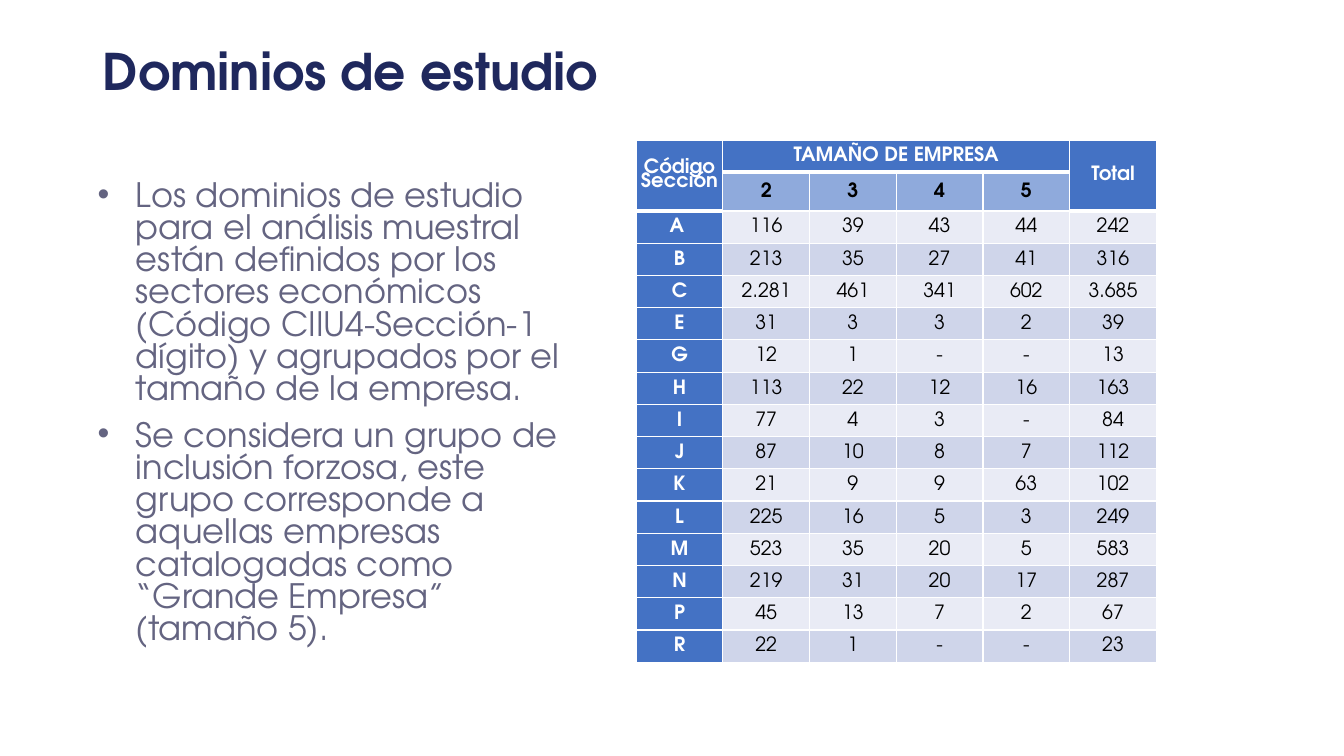
from dataclasses import dataclass

import lxml.etree
import pptx
import pptx.dml.color
import pptx.enum.text
import pptx.oxml.ns
import pptx.util
from pptx.util import Inches


@dataclass(frozen=True)
class Theme:
    font: str = "TeX Gyre Adventor"
    title: str = "1F285D"
    body: str = "646481"
    header: str = "4472C4"
    size_header: str = "8FAADC"
    bands: tuple[str, str] = ("E9EBF5", "CFD5EA")
    white: str = "FFFFFF"
    black: str = "000000"
    title_pt: int = 36
    body_pt: int = 24
    table_pt: int = 14


@dataclass(frozen=True)
class CellStyle:
    fill: str
    color: str
    bold: bool = False
    bottom_pt: int = 1


@dataclass(frozen=True)
class Section:
    code: str
    values: str


THEME = Theme()
HEADER = CellStyle(THEME.header, THEME.white, True, 3)
SIZE_HEADER = CellStyle(THEME.size_header, THEME.black, True)
CODE = CellStyle(THEME.header, THEME.white, True)
BANDS = [CellStyle(fill, THEME.black) for fill in THEME.bands]

BULLETS = [
    "Los dominios de estudio para el análisis muestral están definidos por los "
    "sectores económicos (Código CIIU4-Sección-1 dígito) y agrupados por el "
    "tamaño de la empresa.",
    "Se considera un grupo de inclusión forzosa, este grupo corresponde a "
    "aquellas empresas catalogadas como “Grande Empresa” (tamaño 5).",
]
SIZES = ["2", "3", "4", "5"]
SECTIONS = [
    Section("A ", "116 39 43 44 242"),
    Section("B", "213 35 27 41 316"),
    Section("C", "2.281 461 341 602 3.685"),
    Section("E", "31 3 3 2 39"),
    Section("G", "12 1 - - 13"),
    Section("H", "113 22 12 16 163"),
    Section("I", "77 4 3 - 84"),
    Section("J", "87 10 8 7 112"),
    Section("K", "21 9 9 63 102"),
    Section("L", "225 16 5 3 249"),
    Section("M", "523 35 20 5 583"),
    Section("N", "219 31 20 17 287"),
    Section("P", "45 13 7 2 67"),
    Section("R", "22 1 - - 23"),
]


def add_run(p, text: str, size: int, color: str, bold: bool = False) -> None:
    r = p.add_run()
    r.text = text
    r.font.name = THEME.font
    r.font.size = pptx.util.Pt(size)
    r.font.bold = bold
    r.font.color.rgb = pptx.dml.color.RGBColor.from_string(color)


def add_title(slide, text: str) -> None:
    sp = slide.shapes.title
    sp.left, sp.top, sp.width, sp.height = map(Inches, (0.92, 0.37, 8.46, 0.74))
    tf = sp.text_frame
    tf.auto_size = pptx.enum.text.MSO_AUTO_SIZE.NONE
    tf.vertical_anchor = pptx.enum.text.MSO_ANCHOR.MIDDLE
    p = tf.paragraphs[0]
    p.alignment = pptx.enum.text.PP_ALIGN.LEFT
    p.line_spacing = 0.9
    add_run(p, text, THEME.title_pt, THEME.title, True)


def add_bullets(slide, texts: list[str]) -> None:
    sp = slide.shapes.add_textbox(*map(Inches, (0.87, 1.75, 4.9, 4.75)))
    tf = sp.text_frame
    tf.word_wrap = True
    for i, text in enumerate(texts):
        p = tf.add_paragraph() if i else tf.paragraphs[0]
        p.line_spacing = 0.8
        p.space_before = pptx.util.Pt(10)
        pPr = p._p.get_or_add_pPr()
        pPr.set("marL", str(Inches(0.38)))
        pPr.set("indent", str(Inches(-0.38)))
        font = lxml.etree.SubElement(pPr, pptx.oxml.ns.qn("a:buFont"))
        font.set("typeface", "Arial")
        bullet = lxml.etree.SubElement(pPr, pptx.oxml.ns.qn("a:buChar"))
        bullet.set("char", "•")
        add_run(p, text, THEME.body_pt, THEME.body)


def style_cell(cell, style: CellStyle) -> None:
    cell.margin_left = cell.margin_top = cell.margin_right = Inches(0.01)
    cell.margin_bottom = 0
    cell.vertical_anchor = pptx.enum.text.MSO_ANCHOR.MIDDLE
    tcPr = cell._tc.get_or_add_tcPr()
    for side, width in (("L", 1), ("R", 1), ("T", 1), ("B", style.bottom_pt)):
        ln = lxml.etree.SubElement(tcPr, pptx.oxml.ns.qn(f"a:ln{side}"))
        ln.set("w", str(pptx.util.Pt(width)))
        solid = lxml.etree.SubElement(ln, pptx.oxml.ns.qn("a:solidFill"))
        color = lxml.etree.SubElement(solid, pptx.oxml.ns.qn("a:srgbClr"))
        color.set("val", THEME.white)
    cell.fill.solid()
    cell.fill.fore_color.rgb = pptx.dml.color.RGBColor.from_string(style.fill)


def fill_cell(cell, text: str, style: CellStyle) -> None:
    style_cell(cell, style)
    p = cell.text_frame.paragraphs[0]
    p.alignment = pptx.enum.text.PP_ALIGN.CENTER
    p.line_spacing = 0.8 if style is HEADER else 1.0
    add_run(p, text, THEME.table_pt, style.color, style.bold)


def add_sections_table(slide) -> None:
    rows, cols = len(SECTIONS) + 2, len(SIZES) + 2
    frame = slide.shapes.add_table(
        rows, cols, *map(Inches, (6.31, 1.39, 0.86 * cols, 0.32 * rows)))
    table = frame.table
    table.first_row = table.horz_banding = False
    for column in table.columns:
        column.width = Inches(0.86)
    for row in table.rows:
        row.height = Inches(0.32)
    table.rows[1].height = Inches(0.36)

    last = cols - 1
    for text, start, end in (
        ("Código Sección", (0, 0), (1, 0)),
        ("TAMAÑO DE EMPRESA", (0, 1), (0, last - 1)),
        ("Total", (0, last), (1, last)),
    ):
        table.cell(*start).merge(table.cell(*end))
        fill_cell(table.cell(*start), text, HEADER)
    for cell in table.iter_cells():
        if cell.is_spanned:
            style_cell(cell, HEADER)

    for c, size in enumerate(SIZES, 1):
        fill_cell(table.cell(1, c), size, SIZE_HEADER)
    for i, section in enumerate(SECTIONS):
        fill_cell(table.cell(i + 2, 0), section.code, CODE)
        for c, value in enumerate(section.values.split(), 1):
            fill_cell(table.cell(i + 2, c), value, BANDS[i % 2])


def main() -> None:
    prs = pptx.Presentation()
    prs.slide_width, prs.slide_height = Inches(13.33), Inches(7.5)
    slide = prs.slides.add_slide(prs.slide_layouts[5])
    add_title(slide, "Dominios de estudio")
    add_bullets(slide, BULLETS)
    add_sections_table(slide)
    prs.save("out.pptx")


if __name__ == "__main__":
    main()
